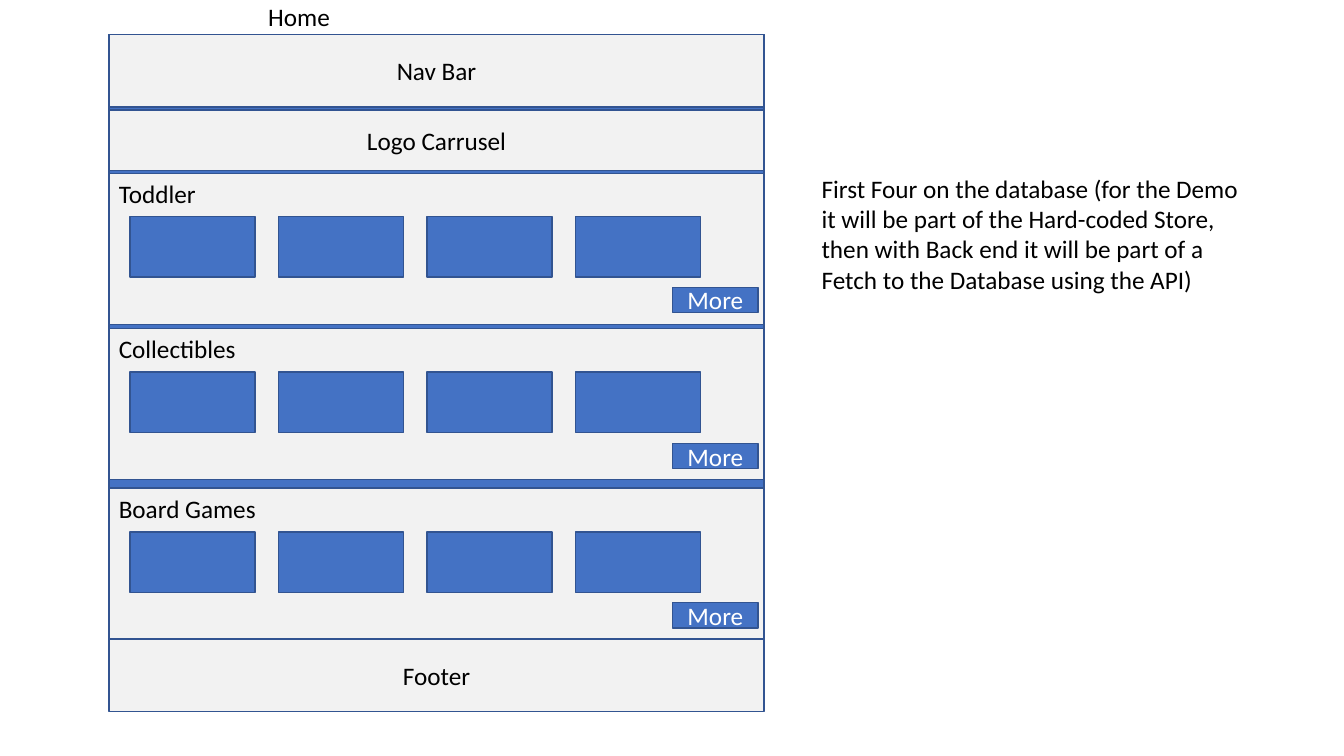
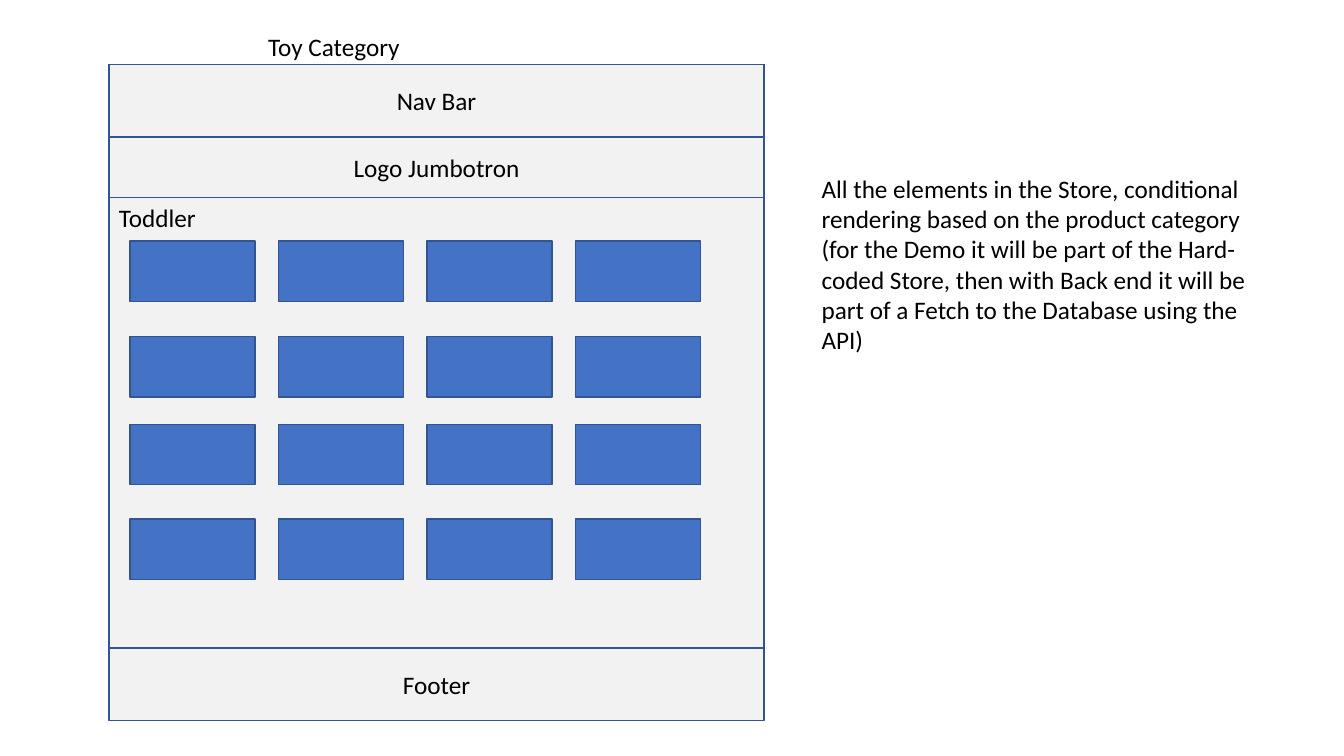
import pptx
import pptx.util
from pptx.dml.color import RGBColor
from pptx.enum.shapes import MSO_SHAPE
from pptx.enum.text import MSO_ANCHOR, MSO_AUTO_SIZE, PP_ALIGN

# Content: each band is (text, top, height), each section (text, top, height, card row tops, More button top)
PAGES = [
    {
        "title": "Home",
        "page_top": 34,
        "bands": [("Nav Bar", 34, 72), ("Logo Carrusel", 109, 60), ("Footer", 634, 72)],
        "sections": [
            ("Toddler", 172, 150, [215], 285),
            ("Collectibles", 326, 150, [369], 440),
            ("Board Games", 484, 150, [528], 598),
        ],
        "note": "First Four on the database (for the Demo it will be part of the Hard-coded Store, "
                "then with Back end it will be part of a Fetch to the Database using the API)",
        "note_height": 131,
    },
    {
        "title": "Toy Category",
        "page_top": 64,
        "bands": [("Nav Bar", 64, 72), ("Logo Jumbotron", 136, 60), ("Footer", 643, 72)],
        "sections": [("Toddler", 196, 448, [239, 334, 421, 515], None)],
        "note": "All the elements in the Store, conditional rendering based on the product category "
                "(for the Demo it will be part of the Hard-coded Store, then with Back end it will be "
                "part of a Fetch to the Database using the API)",
        "note_height": 192,
    },
]

# Shared style and measures (100 px to the inch)
EMU_PER_PX = 9144
BLUE = RGBColor(0x44, 0x72, 0xC4)
OUTLINE = RGBColor(0x32, 0x54, 0x91)
PALE = RGBColor(0xF2, 0xF2, 0xF2)
BLACK = RGBColor(0, 0, 0)
WHITE = RGBColor(0xFF, 0xFF, 0xFF)
FONT = "Calibri"
PAGE_LEFT, PAGE_WIDTH, PAGE_HEIGHT = 108, 650, 579
CARD_COUNT, CARD_WIDTH, CARD_HEIGHT = 4, 124, 60
FIRST_CARD_LEFT, LAST_CARD_LEFT = 129, 571
CARD_PITCH = (LAST_CARD_LEFT - FIRST_CARD_LEFT) / (CARD_COUNT - 1)


def px(length):
    return pptx.util.Emu(round(length * EMU_PER_PX))


def write(shape, text, color=BLACK, align=PP_ALIGN.LEFT, anchor=MSO_ANCHOR.TOP):
    frame = shape.text_frame
    frame.word_wrap = True
    frame.auto_size = MSO_AUTO_SIZE.NONE
    frame.vertical_anchor = anchor
    frame.text = text
    paragraph = frame.paragraphs[0]
    paragraph.alignment = align
    paragraph.font.name = FONT
    paragraph.font.size = pptx.util.Pt(18)
    paragraph.font.color.rgb = color


def add_box(slide, left, top, width, height, fill):
    shape = slide.shapes.add_shape(MSO_SHAPE.RECTANGLE, px(left), px(top), px(width), px(height))
    shape.shadow.inherit = False
    shape.fill.solid()
    shape.fill.fore_color.rgb = fill
    shape.line.color.rgb = OUTLINE
    shape.line.width = pptx.util.Pt(1)
    return shape


def add_section(slide, text, top, height, row_tops, more_top):
    write(add_box(slide, PAGE_LEFT, top, PAGE_WIDTH, height, PALE), text)
    for row_top in row_tops:
        for column in range(CARD_COUNT):
            card_left = FIRST_CARD_LEFT + column * CARD_PITCH
            add_box(slide, card_left, row_top, CARD_WIDTH, CARD_HEIGHT, BLUE)
    if more_top is not None:
        button = add_box(slide, 667, more_top, 85, 25, BLUE)
        write(button, "More", WHITE, PP_ALIGN.CENTER, MSO_ANCHOR.MIDDLE)


def add_page(presentation, page):
    slide = presentation.slides.add_slide(presentation.slide_layouts[5])

    # Title
    title = slide.shapes.title
    title.left, title.top, title.width, title.height = px(256), px(page["page_top"] - 38), px(382), px(40)
    write(title, page["title"])

    # Wireframe
    add_box(slide, PAGE_LEFT, page["page_top"], PAGE_WIDTH, PAGE_HEIGHT, BLUE)
    for section in page["sections"]:
        add_section(slide, *section)
    for text, top, height in page["bands"]:
        band = add_box(slide, PAGE_LEFT, top, PAGE_WIDTH, height, PALE)
        write(band, text, align=PP_ALIGN.CENTER, anchor=MSO_ANCHOR.MIDDLE)

    # Side note
    note = slide.shapes.add_textbox(px(805), px(167), px(448), px(page["note_height"]))
    write(note, page["note"])


def main():
    presentation = pptx.Presentation()
    presentation.slide_width, presentation.slide_height = px(1333), px(750)
    for page in PAGES:
        add_page(presentation, page)
    presentation.save("out.pptx")


if __name__ == "__main__":
    main()
